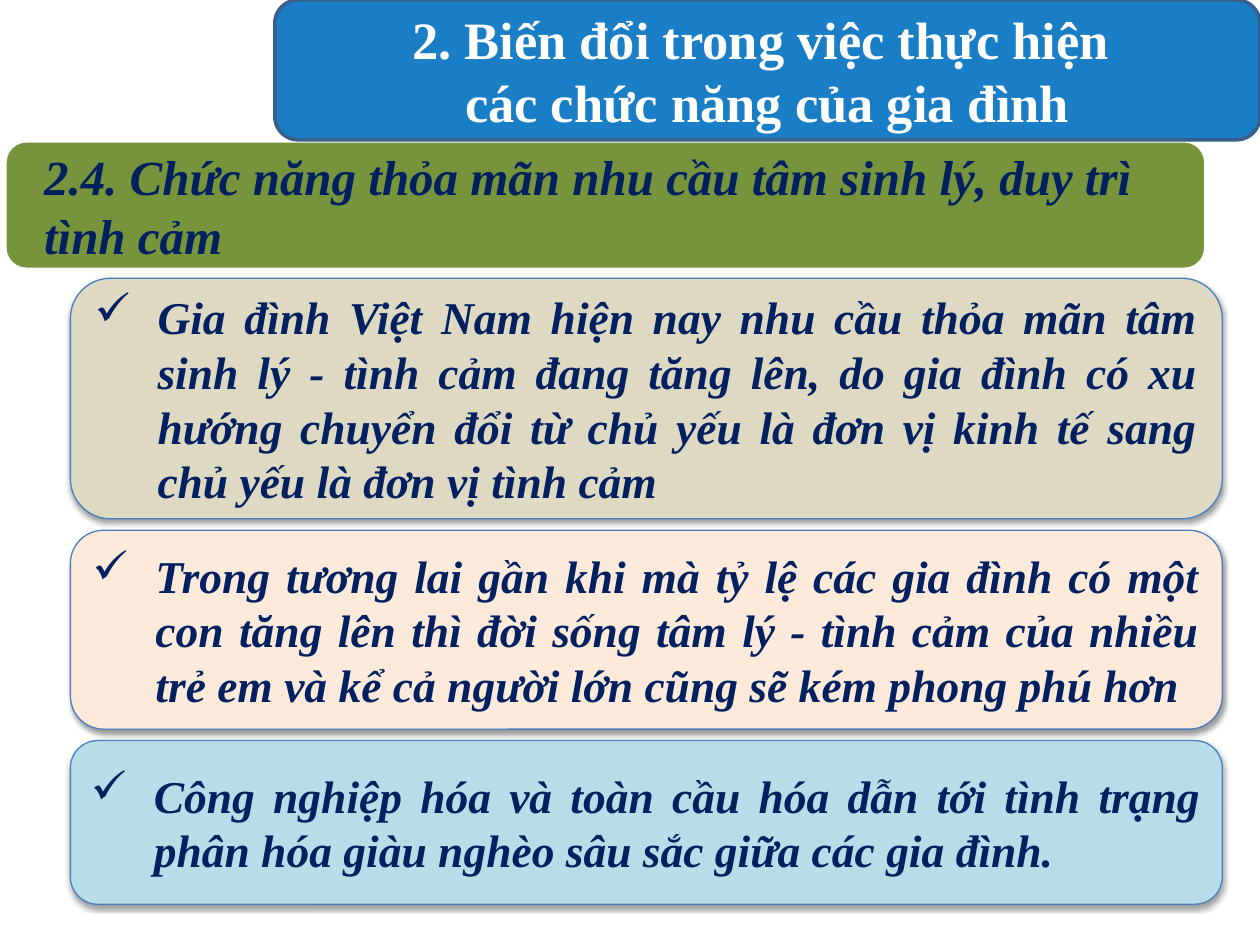
from lxml.etree import SubElement
from pptx import Presentation
from pptx.dml.color import RGBColor
from pptx.enum.shapes import MSO_SHAPE as Shape
from pptx.enum.text import MSO_ANCHOR as Anchor, MSO_AUTO_SIZE as AutoSize, PP_ALIGN as Align
from pptx.oxml.ns import qn
from pptx.util import Cm, Pt

TITLE = ["2. Biến đổi trong việc thực hiện ", "các chức năng của gia đình"]
HEADING = "2.4. Chức năng thỏa mãn nhu cầu tâm sinh lý, duy trì tình cảm"
CARDS = [
    ("DDD9C3", 4.85, "Gia đình Việt Nam hiện nay nhu cầu thỏa mãn tâm sinh lý - tình cảm đang tăng lên, "
     "do gia đình có xu hướng chuyển đổi từ chủ yếu là đơn vị kinh tế sang chủ yếu là đơn vị tình cảm"),
    ("FDEADA", 4.01, "Trong tương lai gần khi mà tỷ lệ các gia đình có một con tăng lên thì đời sống tâm lý "
     "- tình cảm của nhiều trẻ em và kể cả người lớn cũng sẽ kém phong phú hơn"),
    ("B7DEE8", 3.3, "Công nghiệp hóa và toàn cầu hóa dẫn tới tình trạng phân hóa giàu nghèo sâu sắc "
     "giữa các gia đình."),
]
FONT = "Times New Roman"
NAVY = "002060"
TITLE_BOX = (5.54, 0, 19.86, 2.82)
CARD_LEFT, CARD_TOP, CARD_WIDTH, CARD_GAP = 1.42, 5.61, 23.22, 0.23


def color(hex_code):
    return RGBColor.from_string(hex_code)


def panel(slide, box, fill, line, line_width):
    shape = slide.shapes.add_shape(Shape.ROUNDED_RECTANGLE, *map(Cm, box))
    shape.shadow.inherit = False
    shape.fill.solid()
    shape.fill.fore_color.rgb = color(fill)
    shape.line.color.rgb = color(line)
    shape.line.width = Pt(line_width)
    return shape


def write(frame, lines, size, ink, align, italic=False):
    frame.word_wrap = True
    frame.auto_size = AutoSize.NONE
    frame.vertical_anchor = Anchor.MIDDLE
    frame.text = "\n".join(lines)
    for paragraph in frame.paragraphs:
        paragraph.alignment = align
        for run in paragraph.runs:
            font = run.font
            font.name, font.size = FONT, Pt(size)
            font.bold, font.italic = True, italic
            font.color.rgb = color(ink)


def set_alpha(rgb_element, percent):
    SubElement(rgb_element, qn("a:alpha"), val=str(percent * 1000))


def add_shadow(shape):
    effects = shape._element.spPr.find(qn("a:effectLst"))
    shadow = SubElement(effects, qn("a:outerShdw"), blurRad="40000", dist="20000",
                        dir="5400000", rotWithShape="0")
    set_alpha(SubElement(shadow, qn("a:srgbClr"), val="000000"), 38)


def add_check(paragraph):
    properties = paragraph._p.get_or_add_pPr()
    indent = Cm(1.27)
    properties.set("marL", str(indent))
    properties.set("indent", str(-indent))
    SubElement(properties, qn("a:buChar"), char="✓")


def main():
    deck = Presentation()
    deck.slide_width, deck.slide_height = Cm(25.4), Cm(19.05)
    slide = deck.slides.add_slide(deck.slide_layouts[5])

    panel(slide, (0.1, 2.84, 24.21, 2.59), "77933C", "FFFFFF", 2)
    heading = slide.shapes.add_textbox(*map(Cm, (0.28, 2.97, 23.9, 2.34))).text_frame
    heading.margin_left = heading.margin_right = Cm(0.61)
    heading.margin_top = heading.margin_bottom = 0
    write(heading, [HEADING], 28, NAVY, Align.LEFT, italic=True)

    banner = panel(slide, TITLE_BOX, "0070C0", "3A5F8C", 2)
    set_alpha(banner._element.spPr.find(qn("a:solidFill"))[0], 90)
    title = slide.shapes.title
    title.left, title.top, title.width, title.height = map(Cm, TITLE_BOX)
    write(title.text_frame, TITLE, 30, "FFFFFF", Align.CENTER)
    banner._element.addnext(title._element)

    top = CARD_TOP
    for fill, height, text in CARDS:
        card = panel(slide, (CARD_LEFT, top, CARD_WIDTH, height), fill, "4B7EBC", 0.75)
        add_shadow(card)
        write(card.text_frame, [text], 26, NAVY, Align.JUSTIFY, italic=True)
        add_check(card.text_frame.paragraphs[0])
        top += height + CARD_GAP

    deck.save("out.pptx")


if __name__ == "__main__":
    main()
